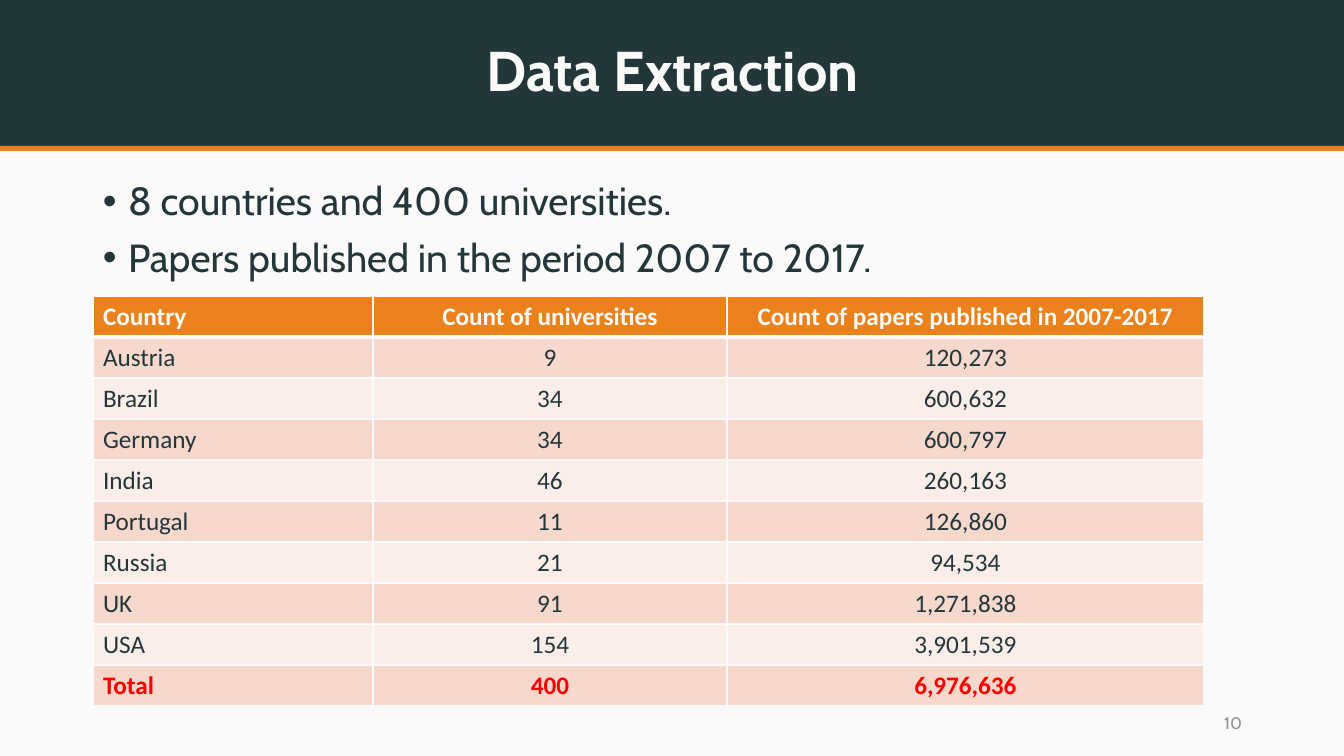
"""Build the Data Extraction slide with its table of countries."""
from lxml.etree import SubElement
from pptx import Presentation
from pptx.dml.color import RGBColor
from pptx.enum.shapes import MSO_SHAPE
from pptx.enum.text import MSO_ANCHOR, PP_ALIGN
from pptx.oxml.ns import qn
from pptx.util import Emu, Pt

DARK = RGBColor(0x23, 0x37, 0x3B)
ORANGE = RGBColor(0xEB, 0x81, 0x1B)
PALE = RGBColor(0xFA, 0xFA, 0xFA)
ROSE = RGBColor(0xF7, 0xD8, 0xCD)
BLUSH = RGBColor(0xFB, 0xED, 0xE8)
GREY = RGBColor(0x8D, 0x91, 0x92)
RED = RGBColor(0xFF, 0x00, 0x00)
SCALE = 914400 / 100.8


def px(*sizes):
    return [Emu(round(size * SCALE)) for size in sizes]


def write(frame, text, size=18, font="Cabin", color=DARK, bold=False,
          align=PP_ALIGN.LEFT, space=None, before=None, bullet=None):
    frame.word_wrap = True
    for i, line in enumerate(text.split("\n")):
        para = frame.add_paragraph() if i else frame.paragraphs[0]
        para.alignment = align
        para.line_spacing = space
        para.space_before = before
        run = para.add_run()
        run.text = line
        run.font.size = Pt(size)
        run.font.name = font
        run.font.bold = bold
        run.font.color.rgb = color
        if bullet:
            props = para._p.get_or_add_pPr()
            props.set("marL", "228600")
            props.set("indent", "-228600")
            SubElement(props, qn("a:buFont"), typeface="Arial")
            SubElement(props, qn("a:buChar"), char=bullet)


deck = Presentation()
deck.slide_width, deck.slide_height = px(1344, 756)
slide = deck.slides.add_slide(deck.slide_layouts[5])
slide.background.fill.solid()
slide.background.fill.fore_color.rgb = PALE

for top, height, color in [(0, 146, DARK), (146, 5, ORANGE)]:
    band = slide.shapes.add_shape(MSO_SHAPE.RECTANGLE, *px(0, top, 1344, height))
    band.shadow.inherit = False
    band.fill.solid()
    band.fill.fore_color.rgb = color
    band.line.fill.background()

title = slide.shapes.title
title.left, title.top, title.width, title.height = px(93, 0, 1159, 146)
title.text_frame.vertical_anchor = MSO_ANCHOR.MIDDLE
write(title.text_frame, "Data Extraction", size=40, color=PALE, bold=True,
      align=PP_ALIGN.CENTER, space=0.9)
band.element.getparent().append(title.element)

body = slide.shapes.add_textbox(*px(93, 177, 1159, 116))
write(body.text_frame,
      "8 countries and 400 universities.\nPapers published in the period 2007 to 2017.",
      size=28, space=0.9, before=Pt(10), bullet="•")

page = slide.shapes.add_textbox(*px(950, 703, 302, 40))
page.text_frame.vertical_anchor = MSO_ANCHOR.MIDDLE
write(page.text_frame, "10", size=12, color=GREY, align=PP_ALIGN.RIGHT)

ROWS = [
    ("Country", "Count of universities", "Count of papers published in 2007-2017"),
    ("Austria", "9", "120,273"),
    ("Brazil", "34", "600,632"),
    ("Germany", "34", "600,797"),
    ("India", "46", "260,163"),
    ("Portugal", "11", "126,860"),
    ("Russia", "21", "94,534"),
    ("UK", "91", "1,271,838"),
    ("USA", "154", "3,901,539"),
    ("Total", "400", "6,976,636"),
]
LAST = len(ROWS) - 1
table = slide.shapes.add_table(len(ROWS), 3, *px(93, 296, 1111, 410)).table
for column, width in zip(table.columns, px(280, 354, 477)):
    column.width = width

for r, row in enumerate(ROWS):
    table.rows[r].height = px(41)[0]
    fill = ORANGE if r == 0 else ROSE if r % 2 else BLUSH
    ink = {0: PALE, LAST: RED}.get(r, DARK)
    for c, text in enumerate(row):
        cell = table.cell(r, c)
        write(cell.text_frame, text, font="Calibri", color=ink, bold=r in (0, LAST),
              align=PP_ALIGN.CENTER if c else PP_ALIGN.LEFT)
        props = cell._tc.get_or_add_tcPr()
        for side in "LRTB":
            thick = (r, side) in ((0, "B"), (1, "T"))
            line = SubElement(props, qn(f"a:ln{side}"), w=str(Pt(3 if thick else 1)))
            solid = SubElement(line, qn("a:solidFill"))
            SubElement(solid, qn("a:srgbClr"), val=str(PALE))
        cell.fill.solid()
        cell.fill.fore_color.rgb = fill

deck.save("out.pptx")
